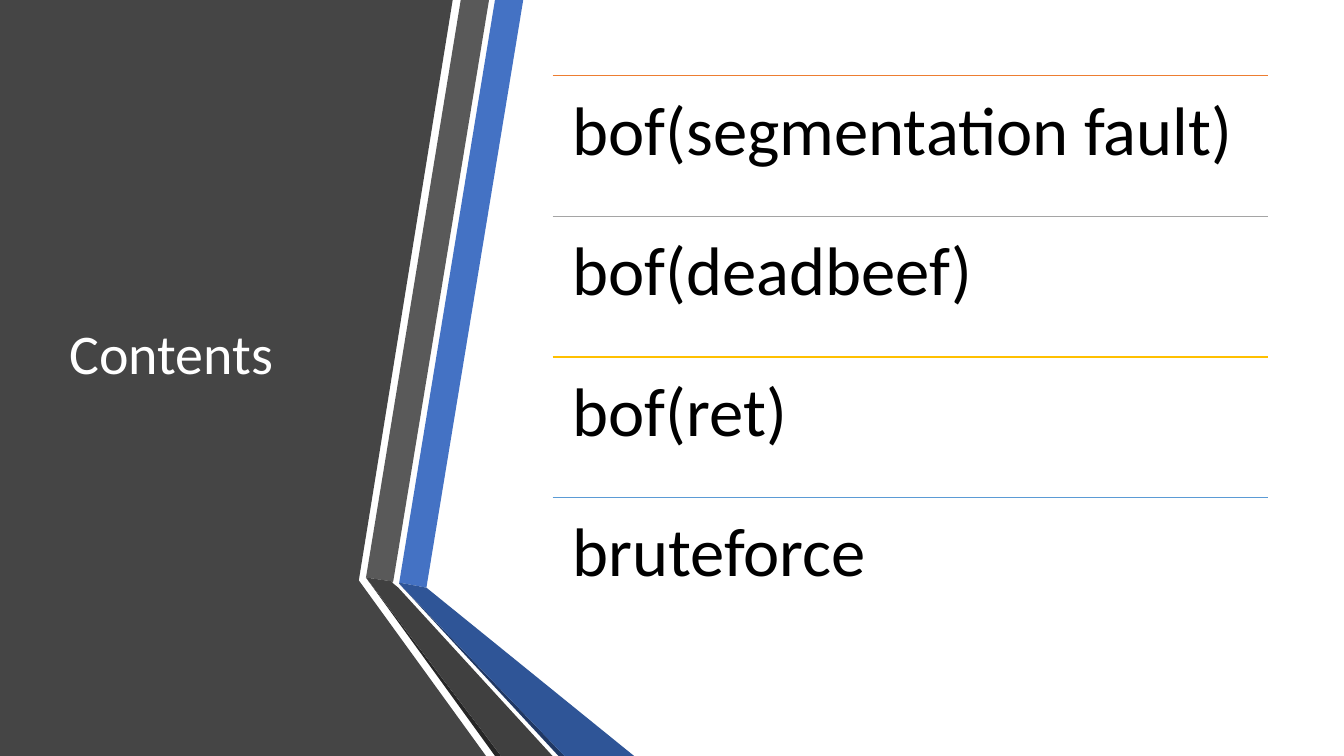
import dataclasses

import lxml.etree
import pptx
import pptx.dml.color
import pptx.enum.shapes
import pptx.enum.text
import pptx.oxml.ns
import pptx.util


@dataclasses.dataclass(frozen=True)
class Theme:
    font: str = "Calibri"
    title_size: int = 40
    entry_size: int = 49
    rule_width: int = 1
    line_spacing: float = 0.9
    title_color: str = "FFFFFF"
    entry_color: str = "000000"
    panel: str = "454545"
    blue_band: str = "4472C4"
    gray_band: str = "595959"
    gray_edge: str = "262626"
    blue_edge: str = "203864"
    blue_fold: str = "2F5597"
    gray_fold: str = "404040"


@dataclasses.dataclass(frozen=True)
class Box:
    left: int
    top: int
    width: int
    height: int


THEME = Theme()
UNIT = pptx.util.Inches(0.01)
COLUMNS, ROWS = 1333, 750
ART_BOX = Box(0, 0, 629, ROWS)
TITLE_BOX = Box(59, 75, 304, 558)
CONTENTS_BOX = Box(548, 75, 710, 558)

PANEL = [(0, 0), (449, 0), (356, 575), (356, 576), (482, 750), (0, 750)]
RIBBONS = [
    (THEME.blue_band, [(396, 578), (423, 583), (519, 0), (491, 0)]),
    (THEME.gray_band, [(485, 0), (457, 0), (363, 573), (390, 577)]),
    (THEME.gray_edge, [(363, 573), (491, 750), (497, 750)]),
    (THEME.blue_edge, [(396, 579), (554, 750), (560, 750)]),
    (THEME.blue_fold, [(396, 579), (560, 750), (629, 750), (423, 583), (396, 578)]),
    (THEME.gray_fold, [(548, 750), (395, 583), (389, 578), (390, 577),
                       (363, 573), (497, 750)]),
]
ENTRIES = [
    ("bof(segmentation fault)", "ED7D31"),
    ("bof(deadbeef)", "A5A5A5"),
    ("bof(ret)", "FFC000"),
    ("bruteforce", "5B9BD5"),
]


def rgb(color):
    return pptx.dml.color.RGBColor.from_string(color)


def place(shape, box):
    shape.left, shape.top = round(box.left * UNIT), round(box.top * UNIT)
    shape.width, shape.height = round(box.width * UNIT), round(box.height * UNIT)


def write(frame, text, size, color):
    frame.word_wrap = True
    frame.auto_size = pptx.enum.text.MSO_AUTO_SIZE.NONE
    para = frame.paragraphs[0]
    para.alignment = pptx.enum.text.PP_ALIGN.LEFT
    para.line_spacing = THEME.line_spacing
    span = para.add_run()
    span.text = text
    span.font.name = THEME.font
    span.font.size = pptx.util.Pt(size)
    span.font.color.rgb = rgb(color)


def add_outline(shapes, box, points, color):
    corners = [(box.left + x, box.top + y) for x, y in points]
    builder = shapes.build_freeform(*corners[0], scale=float(UNIT))
    builder.add_line_segments(corners[1:], close=True)
    outline = builder.convert_to_shape()
    outline.shadow.inherit = False
    outline.fill.solid()
    outline.fill.fore_color.rgb = rgb(color)
    outline.line.fill.background()


def add_art(page, box):
    add_outline(page.shapes, box, PANEL, THEME.panel)
    ribbons = page.shapes.add_group_shape()
    for color, points in RIBBONS:
        add_outline(ribbons.shapes, box, points, color)


def add_title(page, box):
    title = page.shapes.title
    title.element.getparent().append(title.element)
    place(title, box)
    title.text_frame.vertical_anchor = pptx.enum.text.MSO_ANCHOR.MIDDLE
    write(title.text_frame, "Contents", THEME.title_size, THEME.title_color)


def add_rule(shapes, box, color):
    left, top = round(box.left * UNIT), round(box.top * UNIT)
    right = round((box.left + box.width) * UNIT)
    rule = shapes.add_connector(
        pptx.enum.shapes.MSO_CONNECTOR.STRAIGHT, left, top, right, top)
    rule.line.color.rgb = rgb(color)
    rule.line.width = pptx.util.Pt(THEME.rule_width)
    properties = rule.element.find(pptx.oxml.ns.qn("p:spPr"))
    lxml.etree.SubElement(properties, pptx.oxml.ns.qn("a:effectLst"))


def add_entry(shapes, box, text):
    entry = shapes.add_textbox(0, 0, 0, 0)
    place(entry, box)
    frame = entry.text_frame
    frame.margin_left = frame.margin_right = pptx.util.Inches(0.2)
    frame.margin_top = frame.margin_bottom = pptx.util.Inches(0.2)
    frame.vertical_anchor = pptx.enum.text.MSO_ANCHOR.TOP
    write(frame, text, THEME.entry_size, THEME.entry_color)


def add_contents(page, box):
    contents = page.shapes.add_group_shape()
    row_height = box.height / len(ENTRIES)
    for index, (text, color) in enumerate(ENTRIES):
        row = Box(box.left, box.top + index * row_height, box.width, row_height)
        add_rule(contents.shapes, row, color)
        add_entry(contents.shapes, row, text)


def main():
    deck = pptx.Presentation()
    deck.slide_width = COLUMNS * UNIT
    deck.slide_height = ROWS * UNIT
    page = deck.slides.add_slide(deck.slide_layouts.get_by_name("Title Only"))
    add_art(page, ART_BOX)
    add_title(page, TITLE_BOX)
    add_contents(page, CONTENTS_BOX)
    deck.save("out.pptx")


if __name__ == "__main__":
    main()
